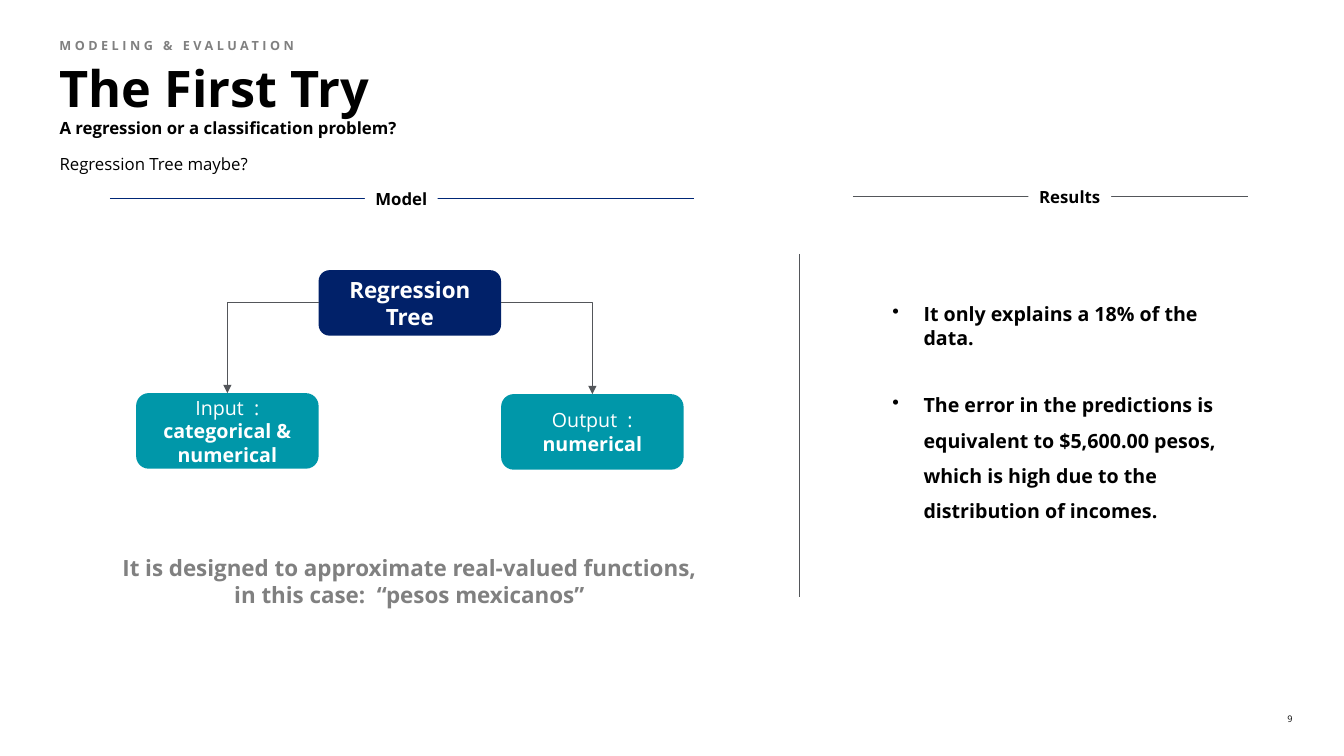
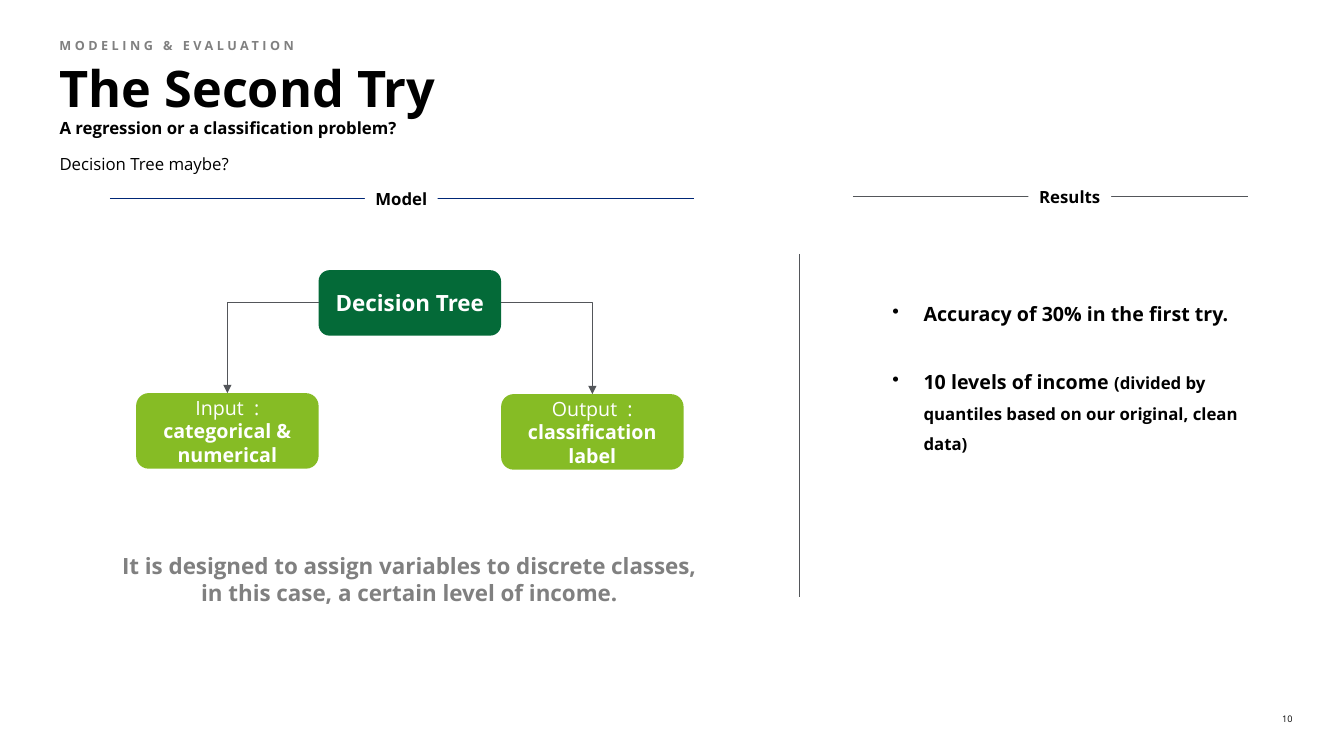
from lxml import etree
from pptx import Presentation
from pptx.dml.color import RGBColor
from pptx.enum.shapes import MSO_CONNECTOR, MSO_SHAPE
from pptx.enum.text import MSO_ANCHOR, PP_ALIGN
from pptx.oxml.ns import qn
from pptx.util import Inches, Pt

STRAIGHT, ELBOW = MSO_CONNECTOR.STRAIGHT, MSO_CONNECTOR.ELBOW
RECTANGLE, NODE = MSO_SHAPE.RECTANGLE, MSO_SHAPE.FLOWCHART_ALTERNATE_PROCESS
TOP, MIDDLE, BOTTOM = MSO_ANCHOR.TOP, MSO_ANCHOR.MIDDLE, MSO_ANCHOR.BOTTOM
LEFT, CENTER, RIGHT = PP_ALIGN.LEFT, PP_ALIGN.CENTER, PP_ALIGN.RIGHT
SITE_TOP, SITE_LEFT, SITE_RIGHT = 0, 1, 3

BLACK = RGBColor(0x00, 0x00, 0x00)
WHITE = RGBColor(0xFF, 0xFF, 0xFF)
GRAY = RGBColor(0x80, 0x80, 0x80)
SLATE = RGBColor(0x53, 0x56, 0x5A)
RULE_BLUE = RGBColor(0x00, 0x27, 0x76)
NAVY = RGBColor(0x01, 0x21, 0x69)
TEAL = RGBColor(0x00, 0x97, 0xA9)
DARK_GREEN = RGBColor(0x04, 0x6A, 0x38)
LIME = RGBColor(0x86, 0xBC, 0x25)

FONT = "Open Sans"
MARGIN = 0.59
BULLET_INDENT = Inches(0.31)
NODE_WIDTH = 1.81
ROOT_LEFT = 3.16

TRIES = [
    {
        "number": "9",
        "title": "The First Try",
        "question": "Regression Tree maybe?",
        "root": "Regression Tree",
        "output": "numerical",
        "root_color": NAVY,
        "leaf_color": TEAL,
        "caption": "It is designed to approximate real-valued functions, "
                   "in this case:  “pesos mexicanos”",
        "caption_top": 5.5,
        "results": [
            [("It only explains a 18% of the data.", {})],
            [("The error in the predictions is equivalent to $5,600.00 pesos, "
              "which is high due to the distribution of incomes.", {})],
        ],
    },
    {
        "number": "10",
        "title": "The Second Try",
        "question": "Decision Tree maybe?",
        "root": "Decision Tree",
        "output": "classification label",
        "root_color": DARK_GREEN,
        "leaf_color": LIME,
        "caption": "It is designed to assign variables to discrete classes, "
                   "in this case, a certain level of income.",
        "caption_top": 5.48,
        "results": [
            [("Accuracy of 30% in the first try.", {})],
            [("10 levels of income ", {}),
             ("(divided by quantiles based on our original, clean data)", {"size": 12})],
        ],
    },
]


def write_text(box, paragraphs, size=12, color=BLACK, bold=False, align=LEFT, anchor=TOP,
               inset=(0, 0), wrap=True, spacing=None, tracking=None, bullet=False):
    """Fill a box with a string, or with paragraphs made of (text, overrides) spans."""
    if isinstance(paragraphs, str):
        paragraphs = [[(paragraphs, {})]]
    frame = box.text_frame
    frame.word_wrap = wrap
    frame.vertical_anchor = anchor
    frame.margin_left = frame.margin_right = Inches(inset[0])
    frame.margin_top = frame.margin_bottom = Inches(inset[1])
    for index, spans in enumerate(paragraphs):
        para = frame.add_paragraph() if index else frame.paragraphs[0]
        para.alignment = align
        if bullet:
            properties = para._p.get_or_add_pPr()
            properties.set("marL", str(BULLET_INDENT))
            properties.set("indent", str(-BULLET_INDENT))
            etree.SubElement(properties, qn("a:buChar")).set("char", "•")
        if index:
            para.space_before = Pt(23)
            para.line_spacing = 1.5
        elif spacing:
            para.line_spacing = spacing
        for text, overrides in spans:
            span = para.add_run()
            span.text = text
            span.font.name = FONT
            span.font.size = Pt(overrides.get("size", size))
            span.font.bold = overrides.get("bold", bold)
            span.font.color.rgb = color
            if tracking:
                span._r.get_or_add_rPr().set("spc", str(tracking))


def style_line(line, color=SLATE, width=0.75, arrow=False):
    line.line.color.rgb = color
    line.line.width = Pt(width)
    if arrow:
        etree.SubElement(line.line._get_or_add_ln(), qn("a:tailEnd")).set("type", "triangle")
    etree.SubElement(line._element.spPr, qn("a:effectLst"))


deck = Presentation()
deck.slide_width = Inches(13.33)
deck.slide_height = Inches(7.5)

for attempt in TRIES:
    page = deck.slides.add_slide(deck.slide_layouts[6])

    texts = [
        (MARGIN, 0.38, 5.14, 0.19, "MODELING & EVALUATION",
         {"size": 9, "color": GRAY, "bold": True, "tracking": 250}),
        (MARGIN, 0.61, 12.31, 0.55, attempt["title"],
         {"size": 36, "bold": True, "anchor": BOTTOM, "spacing": 0.8}),
        (MARGIN, 1.17, 12.35, 0.2, "A regression or a classification problem?",
         {"bold": True}),
        (MARGIN, 1.52, 12.35, 0.52, attempt["question"], {}),
        (1.12, attempt["caption_top"], 5.88, 0.54, attempt["caption"],
         {"size": 16, "color": GRAY, "bold": True, "align": CENTER}),
        (8.85, 3, 3.52, 2.14, attempt["results"],
         {"size": 14, "bold": True, "bullet": True}),
        (12.48, 7.08, 0.34, 0.11, attempt["number"], {"size": 6.5, "align": RIGHT}),
    ]
    for left, top, width, height, text, style in texts:
        box = page.shapes.add_textbox(Inches(left), Inches(top), Inches(width), Inches(height))
        write_text(box, text, **style)

    rules = [
        (1.09, 1.97, 6.88, 1.97, RULE_BLUE, 1),
        (8.46, 1.95, 12.38, 1.95, SLATE, 0.75),
        (7.93, 2.52, 7.93, 5.92, SLATE, 0.75),
    ]
    for x1, y1, x2, y2, color, width in rules:
        rule = page.shapes.add_connector(STRAIGHT, Inches(x1), Inches(y1), Inches(x2), Inches(y2))
        style_line(rule, color, width)

    heading = {"bold": True, "inset": (0.1, 0), "wrap": False}
    root_style = {"size": 16, "color": WHITE, "bold": True, "inset": (0.1, 0.05)}
    leaf_style = {"size": 14, "color": WHITE, "inset": (0.1, 0.05)}
    input_text = [[("Input  : ", {}), ("categorical & numerical", {"bold": True})]]
    output_text = [[("Output  : ", {}), (attempt["output"], {"bold": True})]]
    blocks = [
        (RECTANGLE, 3.62, 1.87, 0.72, 0.2, WHITE, "Model", heading),
        (RECTANGLE, 10.2, 1.85, 0.82, 0.2, WHITE, "Results", heading),
        (NODE, ROOT_LEFT, 2.68, NODE_WIDTH, 0.65, attempt["root_color"],
         attempt["root"], root_style),
        (NODE, ROOT_LEFT - NODE_WIDTH, 3.9, NODE_WIDTH, 0.75, attempt["leaf_color"],
         input_text, leaf_style),
        (NODE, ROOT_LEFT + NODE_WIDTH, 3.91, NODE_WIDTH, 0.75, attempt["leaf_color"],
         output_text, leaf_style),
    ]
    nodes = []
    for kind, left, top, width, height, fill, text, style in blocks:
        block = page.shapes.add_shape(kind, Inches(left), Inches(top),
                                      Inches(width), Inches(height))
        block.shadow.inherit = False
        block.fill.solid()
        block.fill.fore_color.rgb = fill
        block.line.fill.background()
        write_text(block, text, align=CENTER, anchor=MIDDLE, **style)
        if kind == NODE:
            nodes.append(block)

    root, input_node, output_node = nodes
    for leaf, side in ((input_node, SITE_LEFT), (output_node, SITE_RIGHT)):
        arrow = page.shapes.add_connector(ELBOW, 0, 0, 0, 0)
        arrow.begin_connect(root, side)
        arrow.end_connect(leaf, SITE_TOP)
        arrow._element.spPr.find(qn("a:prstGeom")).set("prst", "bentConnector2")
        style_line(arrow, arrow=True)

deck.save("out.pptx")
